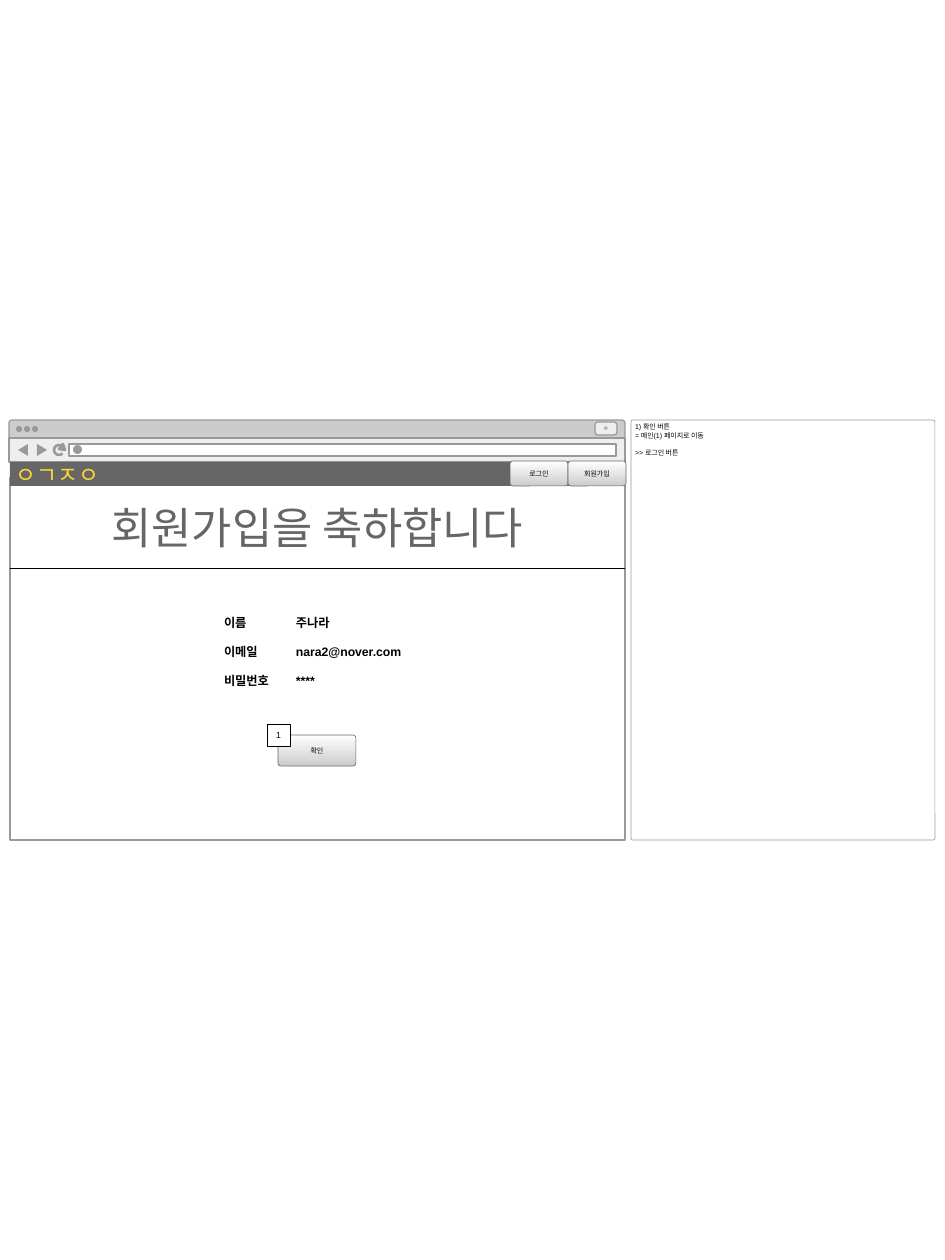
import dataclasses

import pptx
import pptx.dml.color
import pptx.enum.shapes
import pptx.enum.text
import pptx.oxml
import pptx.oxml.ns
import pptx.util

PX = 914400 / 126
SHAPE = pptx.enum.shapes.MSO_SHAPE
ALIGN = pptx.enum.text.PP_ALIGN
ANCHOR = pptx.enum.text.MSO_ANCHOR


@dataclasses.dataclass(frozen=True)
class Theme:
    """Colours, fonts, type sizes and line widths of the wireframe."""
    white: str = "FFFFFF"
    black: str = "000000"
    pale: str = "EEEEEE"
    light: str = "CCCCCC"
    mid: str = "999999"
    dark: str = "666666"
    accent: str = "FDD735"
    body_font: str = "Arial"
    display_font: str = "Cambria"
    small: int = 4
    label: int = 5
    field: int = 7
    brand: int = 13
    headline: int = 25
    hairline: float = 0.37
    frame: float = 0.75
    icon: float = 1.47


THEME = Theme()


@dataclasses.dataclass(frozen=True)
class Box:
    """A rectangle in px."""
    x: int
    y: int
    w: int
    h: int

    def inner(self, dx, dy, w, h):
        """Return a box placed relative to this one."""
        return Box(self.x + dx, self.y + dy, w, h)

    def emu(self):
        """Return left, top, width and height in EMU."""
        return [emu(side) for side in (self.x, self.y, self.w, self.h)]


def emu(px):
    """Turn px into EMU."""
    return pptx.util.Emu(round(px * PX))


def rgb(code):
    """Turn a hex code into a colour."""
    return pptx.dml.color.RGBColor.from_string(code)


def paint(shape, fill=None, line=None, width=THEME.frame):
    """Set the fill and outline of a shape; a pair of colours is a gradient."""
    shape.shadow.inherit = False
    if isinstance(fill, tuple):
        shape.fill.gradient()
        shape.fill.gradient_angle = 270
        for stop, code in zip(shape.fill.gradient_stops, fill):
            stop.color.rgb = rgb(code)
    elif fill:
        shape.fill.solid()
        shape.fill.fore_color.rgb = rgb(fill)
    else:
        shape.fill.background()
    if line:
        shape.line.color.rgb = rgb(line)
        shape.line.width = pptx.util.Pt(width)
    else:
        shape.line.fill.background()
    return shape


def add_block(slide, box, kind=SHAPE.RECTANGLE, radius=0, **look):
    """Add a preset shape, with its corner radius in px if rounded."""
    block = slide.shapes.add_shape(kind, *box.emu())
    if kind == SHAPE.ROUNDED_RECTANGLE:
        block.adjustments[0] = radius / min(box.w, box.h)
    return paint(block, **look)


def add_polygon(slide, box, corners, **look):
    """Add a closed outline from corners relative to the box."""
    points = [(box.x + dx, box.y + dy) for dx, dy in corners]
    outline = slide.shapes.build_freeform(*points[0], scale=PX)
    outline.add_line_segments(points[1:], close=True)
    return paint(outline.convert_to_shape(), **look)


def write(holder, *lines, size=THEME.small, font=THEME.body_font, color=THEME.black,
          bold=False, align=ALIGN.LEFT, anchor=ANCHOR.MIDDLE, gaps=None):
    """Write lines into a shape, with gaps in points before chosen lines."""
    frame = holder.text_frame
    frame.word_wrap = True
    frame.vertical_anchor = anchor
    frame.margin_left = frame.margin_right = frame.margin_top = frame.margin_bottom = 0
    for index, line in enumerate(lines):
        paragraph = frame.paragraphs[0] if index == 0 else frame.add_paragraph()
        paragraph.text = line
        paragraph.alignment = align
        paragraph.font.size = pptx.util.Pt(size)
        paragraph.font.name = font
        paragraph.font.bold = bold
        paragraph.font.color.rgb = rgb(color)
        if gaps and index in gaps:
            paragraph.space_before = pptx.util.Pt(gaps[index])


def add_label(slide, box, *lines, **style):
    """Add a text box."""
    write(slide.shapes.add_textbox(*box.emu()), *lines, **style)


def add_button(slide, box, caption):
    """Add a shaded button with a centred caption."""
    button = add_block(slide, box, SHAPE.ROUNDED_RECTANGLE, 3, line=THEME.dark,
                       fill=(THEME.white, THEME.light), width=THEME.hairline)
    write(button, caption, align=ALIGN.CENTER)


def draw_title_bar(slide, box):
    """Draw the window's top bar with its dots and new-tab button."""
    add_block(slide, box, SHAPE.ROUNDED_RECTANGLE, 3, fill=THEME.light, line=THEME.mid)
    for index in range(3):
        add_block(slide, box.inner(7 + 8 * index, 6, 6, 6), SHAPE.OVAL, fill=THEME.mid)
    new_tab = add_block(slide, box.inner(586, 2, 22, 13), SHAPE.ROUNDED_RECTANGLE, 3,
                        fill=THEME.pale, line=THEME.mid)
    write(new_tab, "+", size=THEME.label, color=THEME.mid, bold=True, align=ALIGN.CENTER)


def draw_toolbar(slide, box):
    """Draw the navigation arrows, reload icon and address field."""
    add_block(slide, box, fill=THEME.pale, line=THEME.mid)
    add_polygon(slide, box, [(9, 12), (19, 6), (19, 18)], fill=THEME.mid)
    add_polygon(slide, box, [(38, 12), (28, 6), (28, 18)], fill=THEME.mid)
    add_block(slide, box.inner(60, 6, 547, 12), fill=THEME.white, line=THEME.mid)
    add_block(slide, box.inner(64, 7, 9, 9), SHAPE.OVAL, fill=THEME.mid)
    reload_arc = add_block(slide, box.inner(45, 7, 10, 10), SHAPE.ARC,
                           line=THEME.mid, width=THEME.icon)
    reload_arc.adjustments[0] = 27
    reload_arc.adjustments[1] = 204
    add_polygon(slide, box, [(56, 12), (50, 11), (54, 6)],
                fill=THEME.mid, line=THEME.mid, width=THEME.icon)


def draw_site_header(slide, box):
    """Draw the site header with its name and account buttons."""
    add_block(slide, box, fill=THEME.dark)
    add_label(slide, box.inner(0, -1, 95, 28), "ㅇㄱㅈㅇ", size=THEME.brand,
              font=THEME.display_font, color=THEME.accent, align=ALIGN.CENTER,
              anchor=ANCHOR.TOP)
    for index, caption in enumerate(("로그인", "회원가입")):
        add_button(slide, box.inner(500 + 58 * index, -1, 58, 25), caption)


def draw_welcome(slide, box):
    """Draw the headline, member details and confirm button."""
    add_label(slide, box.inner(0, 15, box.w, 53), "회원가입을 축하합니다",
              size=THEME.headline, font=THEME.display_font, color=THEME.dark,
              align=ALIGN.CENTER, anchor=ANCHOR.TOP)
    rule_y = emu(box.y + 82)
    rule = slide.shapes.add_connector(pptx.enum.shapes.MSO_CONNECTOR.STRAIGHT,
                                      emu(box.x), rule_y, emu(box.x + box.w), rule_y)
    rule.line.color.rgb = rgb(THEME.black)
    rule.line.width = pptx.util.Pt(THEME.hairline)
    no_effects = pptx.oxml.parse_xml(
        "<a:effectLst %s/>" % pptx.oxml.ns.nsdecls("a"))
    rule._element.spPr.append(no_effects)

    details = (("이름", "주나라"), ("이메일", "nara2@nover.com"), ("비밀번호", "****"))
    for row, (name, value) in enumerate(details):
        top = 129 + 29 * row
        add_label(slide, box.inner(214, top, 67, 15), name, size=THEME.field, bold=True)
        add_label(slide, box.inner(286, top, 115, 15), value, size=THEME.field, bold=True)

    add_button(slide, box.inner(268, 249, 78, 31), "확인")
    marker = add_block(slide, box.inner(257, 238, 23, 22), fill=THEME.white,
                       line=THEME.black, width=THEME.hairline)
    write(marker, "1", size=THEME.label, align=ALIGN.CENTER)


def draw_browser(slide, box):
    """Draw the browser window and the page inside it."""
    draw_title_bar(slide, box.inner(0, 0, box.w, 30))
    add_block(slide, box.inner(1, 58, 615, 362), fill=THEME.white, line=THEME.mid)
    draw_toolbar(slide, box.inner(0, 18, box.w, 24))
    draw_site_header(slide, box.inner(1, 42, 615, 24))
    draw_welcome(slide, box.inner(1, 66, 615, 354))


def draw_notes(slide, box):
    """Draw the panel that explains the numbered marker."""
    add_block(slide, box, SHAPE.ROUNDED_RECTANGLE, 2, fill=THEME.white,
              line=THEME.mid, width=THEME.hairline)
    add_label(slide, box.inner(4, 3, 297, 34), "1) 확인 버튼", "= 메인(1) 페이지로 이동",
              ">> 로그인 버튼", anchor=ANCHOR.TOP, gaps={2: 4.8})


def main():
    """Build the sign-up confirmation wireframe."""
    deck = pptx.Presentation()
    deck.slide_width = pptx.util.Inches(7.5)
    deck.slide_height = pptx.util.Inches(10)
    slide = deck.slides.add_slide(deck.slide_layouts[6])
    draw_browser(slide, Box(9, 420, 616, 420))
    draw_notes(slide, Box(631, 420, 304, 420))
    deck.save("out.pptx")


if __name__ == "__main__":
    main()
